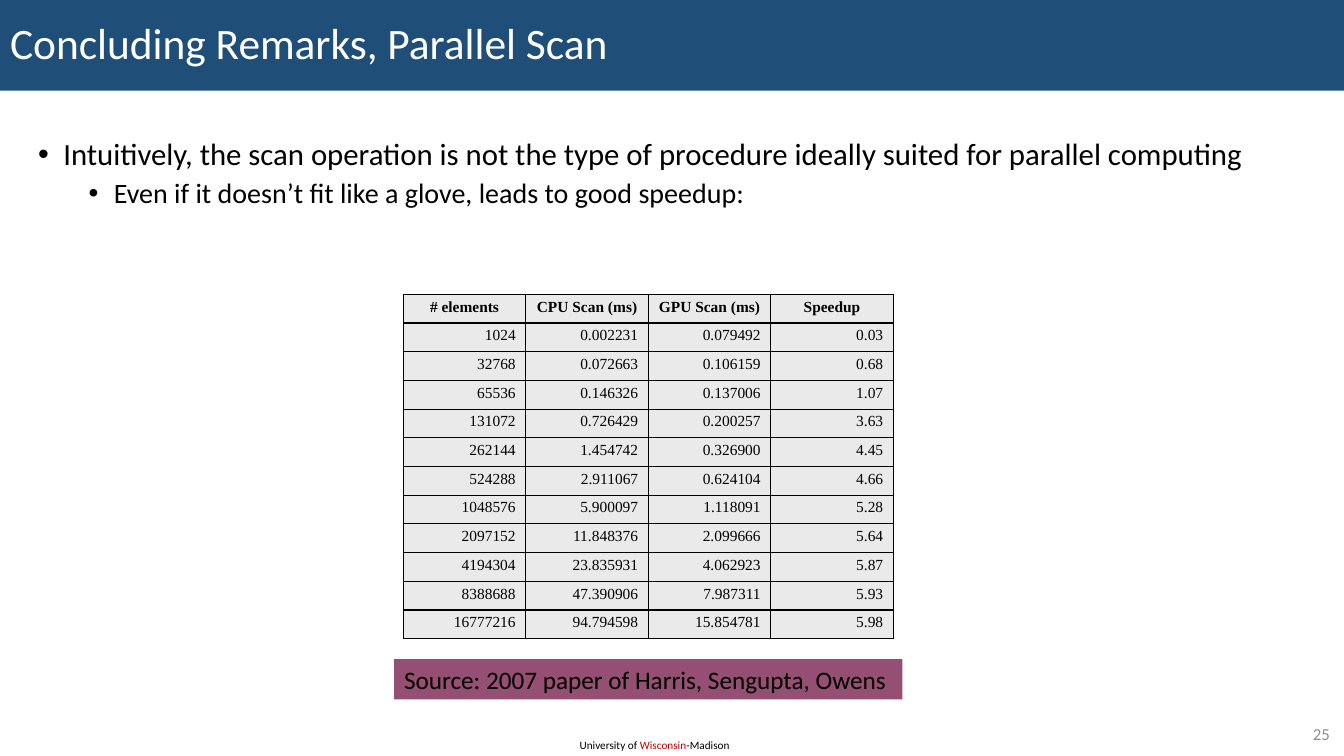
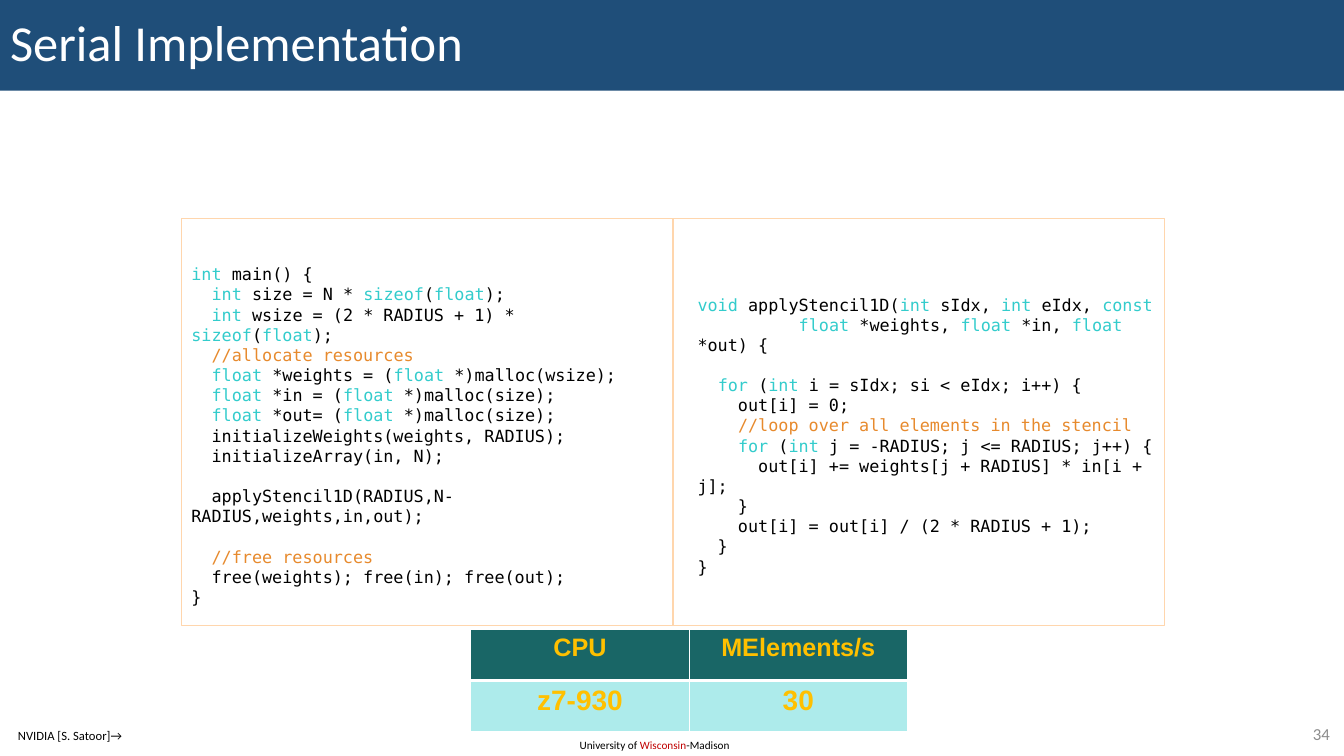
from dataclasses import dataclass
from itertools import groupby
from typing import NamedTuple

from lxml.etree import SubElement
from pptx import Presentation
from pptx.dml.color import RGBColor as Rgb
from pptx.enum.shapes import MSO_CONNECTOR as Link, MSO_SHAPE as Form
from pptx.enum.text import MSO_ANCHOR as Anchor, MSO_AUTO_SIZE as Fit, PP_ALIGN as Align
from pptx.oxml.ns import qn
from pptx.util import Inches, Pt


@dataclass(frozen=True)
class Theme:
    navy: str = "1F4E79"
    white: str = "FFFFFF"
    black: str = "000000"
    red: str = "C00000"
    gray: str = "8C8C8C"
    plum: str = "954F72"
    pale: str = "EAEAEA"
    peach: str = "FFD6AD"
    teal: str = "33CCCC"
    rust: str = "E78A2D"
    gold: str = "FFC000"
    pine: str = "196666"
    aqua: str = "ADEBEB"
    sans: str = "Calibri"
    serif: str = "Times New Roman"
    mono: str = "DejaVu Sans Mono"
    bold: str = "Arial"
    long: float = 31
    short: float = 36
    lead: float = 22
    sub: float = 20
    note: float = 18
    code: float = 12
    page: float = 12
    cell: float = 11
    cite: float = 9
    foot: float = 8


T = Theme()


class Box(NamedTuple):
    left: float
    top: float
    width: float
    height: float

    def emu(self) -> list:
        return [Inches(side) for side in self]


class Span(NamedTuple):
    text: str
    color: str = T.black


class Bullet(NamedTuple):
    text: str
    size: float
    left: float
    gap: float


class Row(NamedTuple):
    cells: list[str]
    fill: str
    color: str
    size: float
    bold: bool
    align: Align
    edges: dict[str, float]


class Label(NamedTuple):
    box: Box
    spans: list[Span]
    size: float
    align: Align = Align.LEFT
    fill: str = ""
    wrap: bool = False


FOOT = Label(Box(5.65, 7.28, 1.72, 0.24),
             [Span("University of "), Span("Wisconsin", T.red), Span("-Madison")], T.foot)
SOURCE = Label(Box(3.91, 6.54, 5.04, 0.4),
               [Span("Source: 2007 paper of Harris, Sengupta, Owens")], T.note, fill=T.plum)
CREDIT = Label(Box(0.08, 7.17, 1.23, 0.25), [Span("NVIDIA [S. Satoor]→")], T.cite)

POINTS = [
    Bullet("Intuitively, the scan operation is not the type of procedure ideally suited "
           "for parallel computing", T.lead, 0.25, 0),
    Bullet("Even if it doesn’t fit like a glove, leads to good speedup:", T.sub, 0.75, 5),
]

HEADS = ["# elements", "CPU Scan (ms)", "GPU Scan (ms)", "Speedup"]
SCANS = [
    "1024 0.002231 0.079492 0.03",
    "32768 0.072663 0.106159 0.68",
    "65536 0.146326 0.137006 1.07",
    "131072 0.726429 0.200257 3.63",
    "262144 1.454742 0.326900 4.45",
    "524288 2.911067 0.624104 4.66",
    "1048576 5.900097 1.118091 5.28",
    "2097152 11.848376 2.099666 5.64",
    "4194304 23.835931 4.062923 5.87",
    "8388688 47.390906 7.987311 5.93",
    "16777216 94.794598 15.854781 5.98",
]

WORDS = {"int", "float", "void", "const", "for", "sizeof"}
MAIN = """int main() {
  int size = N * sizeof(float);
  int wsize = (2 * RADIUS + 1) * sizeof(float);
  //allocate resources
  float *weights = (float *)malloc(wsize);
  float *in = (float *)malloc(size);
  float *out= (float *)malloc(size);
  initializeWeights(weights, RADIUS);
  initializeArray(in, N);

  applyStencil1D(RADIUS,N-RADIUS,weights,in,out);

  //free resources
  free(weights); free(in); free(out);
}"""
STENCIL = """void applyStencil1D(int sIdx, int eIdx, const
          float *weights, float *in, float *out) {

  for (int i = sIdx; si < eIdx; i++) {
    out[i] = 0;
    //loop over all elements in the stencil
    for (int j = -RADIUS; j <= RADIUS; j++) {
      out[i] += weights[j + RADIUS] * in[i + j];
    }
    out[i] = out[i] / (2 * RADIUS + 1);
  }
}"""


def style(font, size: float, color: str, face: str = T.sans, bold: bool = False) -> None:
    font.size = Pt(size)
    font.name = face
    font.bold = bold
    font.color.rgb = Rgb.from_string(color)


def write(para, spans: list[Span], size: float, face: str = T.sans) -> None:
    for span in spans:
        run = para.add_run()
        run.text = span.text
        style(run.font, size, span.color, face)


def label(slide, item: Label):
    shape = slide.shapes.add_textbox(*item.box.emu())
    frame = shape.text_frame
    frame.word_wrap = item.wrap
    if item.fill:
        shape.fill.solid()
        shape.fill.fore_color.rgb = Rgb.from_string(item.fill)
    para = frame.paragraphs[0]
    para.alignment = item.align
    write(para, item.spans, item.size)
    return shape


def page(deck, name: str, size: float, number: int):
    slide = deck.slides.add_slide(deck.slide_layouts[5])
    title = slide.shapes.title
    title.left, title.top, title.width, title.height = Box(0, 0, 13.33, 0.9).emu()
    title.fill.solid()
    title.fill.fore_color.rgb = Rgb.from_string(T.navy)
    frame = title.text_frame
    frame.text = name
    frame.auto_size = Fit.NONE
    frame.vertical_anchor = Anchor.MIDDLE
    para = frame.paragraphs[0]
    para.alignment = Align.LEFT
    para.line_spacing = 0.9
    style(para.runs[0].font, size, T.white)
    label(slide, FOOT)
    mark = Label(Box(12.53, 7.13, 0.76, 0.29), [Span(str(number), T.gray)], T.page,
                 Align.RIGHT, wrap=True)
    label(slide, mark).text_frame.vertical_anchor = Anchor.MIDDLE
    return slide


def outline(slide, box: Box, points: list[Bullet]) -> None:
    frame = slide.shapes.add_textbox(*box.emu()).text_frame
    frame.word_wrap = True
    for i, point in enumerate(points):
        para = frame.add_paragraph() if i else frame.paragraphs[0]
        para.level = i
        para.line_spacing = 0.9
        para.space_before = Pt(point.gap)
        props = para._p.get_or_add_pPr()
        props.set("marL", str(Inches(point.left)))
        props.set("indent", str(Inches(-0.25)))
        SubElement(props, qn("a:buFont"), typeface="Arial")
        SubElement(props, qn("a:buChar"), char="•")
        write(para, [Span(point.text)], point.size)


def border(cell, color: str, edges: dict[str, float]) -> None:
    props = cell._tc.get_or_add_tcPr()
    for side in "LRTB":
        line = SubElement(props, qn(f"a:ln{side}"), w=str(Pt(edges.get(side, 1))))
        fill = SubElement(line, qn("a:solidFill"))
        SubElement(fill, qn("a:srgbClr"), val=color)


def grid(slide, box: Box, rows: list[Row], face: str, line: str, inset: float) -> None:
    count = len(rows[0].cells)
    table = slide.shapes.add_table(len(rows), count, *box.emu()).table
    table.first_row = table.horz_banding = False
    for col in table.columns:
        col.width = Inches(box.width / count)
    for i, row in enumerate(rows):
        table.rows[i].height = Inches(box.height / len(rows))
        for j, text in enumerate(row.cells):
            cell = table.cell(i, j)
            border(cell, line, row.edges)
            cell.fill.solid()
            cell.fill.fore_color.rgb = Rgb.from_string(row.fill)
            cell.margin_top = cell.margin_bottom = Inches(inset)
            cell.text_frame.text = text
            para = cell.text_frame.paragraphs[0]
            para.alignment = row.align
            style(para.runs[0].font, row.size, row.color, face, row.bold)


def tint(line: str) -> list[Span]:
    body, mark, note = line.partition("//")
    spans = []
    for word, chars in groupby(body, str.isalnum):
        text = "".join(chars)
        color = T.teal if word and text in WORDS else T.black
        if spans and spans[-1].color == color:
            text = spans.pop().text + text
        spans.append(Span(text, color))
    if mark:
        spans.append(Span(mark + note, T.rust))
    return spans


def listing(slide, box: Box, code: str) -> None:
    frame = slide.shapes.add_textbox(*box.emu()).text_frame
    frame.word_wrap = True
    for i, line in enumerate(code.split("\n")):
        para = frame.add_paragraph() if i else frame.paragraphs[0]
        para.line_spacing = Pt(14.4)
        write(para, tint(line), T.code, T.mono)


def panel(slide, box: Box) -> None:
    frame = slide.shapes.add_shape(Form.RECTANGLE, *box.emu())
    frame.shadow.inherit = False
    frame.fill.background()
    split = slide.shapes.add_connector(Link.STRAIGHT, 0, 0, 0, 0)
    split.begin_connect(frame, 0)
    split.end_connect(frame, 2)
    for shape in (frame, split):
        shape.line.color.rgb = Rgb.from_string(T.peach)
        shape.line.width = Pt(0.75)
    SubElement(split._element.spPr, qn("a:effectLst"))


def scan(deck) -> None:
    slide = page(deck, "Concluding Remarks, Parallel Scan", T.long, 25)
    outline(slide, Box(0.28, 1.33, 12.89, 1.45), POINTS)
    rows = [Row(HEADS, T.pale, T.black, T.cell, True, Align.CENTER, {})]
    rows += [Row(line.split(), T.pale, T.black, T.cell, False, Align.RIGHT, {})
             for line in SCANS]
    grid(slide, Box(4, 2.92, 4.86, 3.42), rows, T.serif, T.black, 0.04)
    label(slide, SOURCE)


def serial(deck) -> None:
    slide = page(deck, "Serial Implementation", T.short, 34)
    panel(slide, Box(1.8, 2.17, 9.75, 4.04))
    listing(slide, Box(1.8, 2.57, 4.75, 3.5), MAIN)
    listing(slide, Box(6.82, 2.87, 4.75, 3), STENCIL)
    rows = [
        Row(["CPU", "MElements/s"], T.pine, T.gold, T.note, True, Align.CENTER, {"B": 3}),
        Row(["z7-930", "30"], T.aqua, T.gold, T.sub, True, Align.CENTER, {"T": 3}),
    ]
    grid(slide, Box(4.67, 6.24, 4.33, 1.02), rows, T.bold, T.white, 0.05)
    label(slide, CREDIT)


def main() -> None:
    deck = Presentation()
    deck.slide_width, deck.slide_height = Inches(13.33), Inches(7.5)
    scan(deck)
    serial(deck)
    deck.save("out.pptx")


if __name__ == "__main__":
    main()
